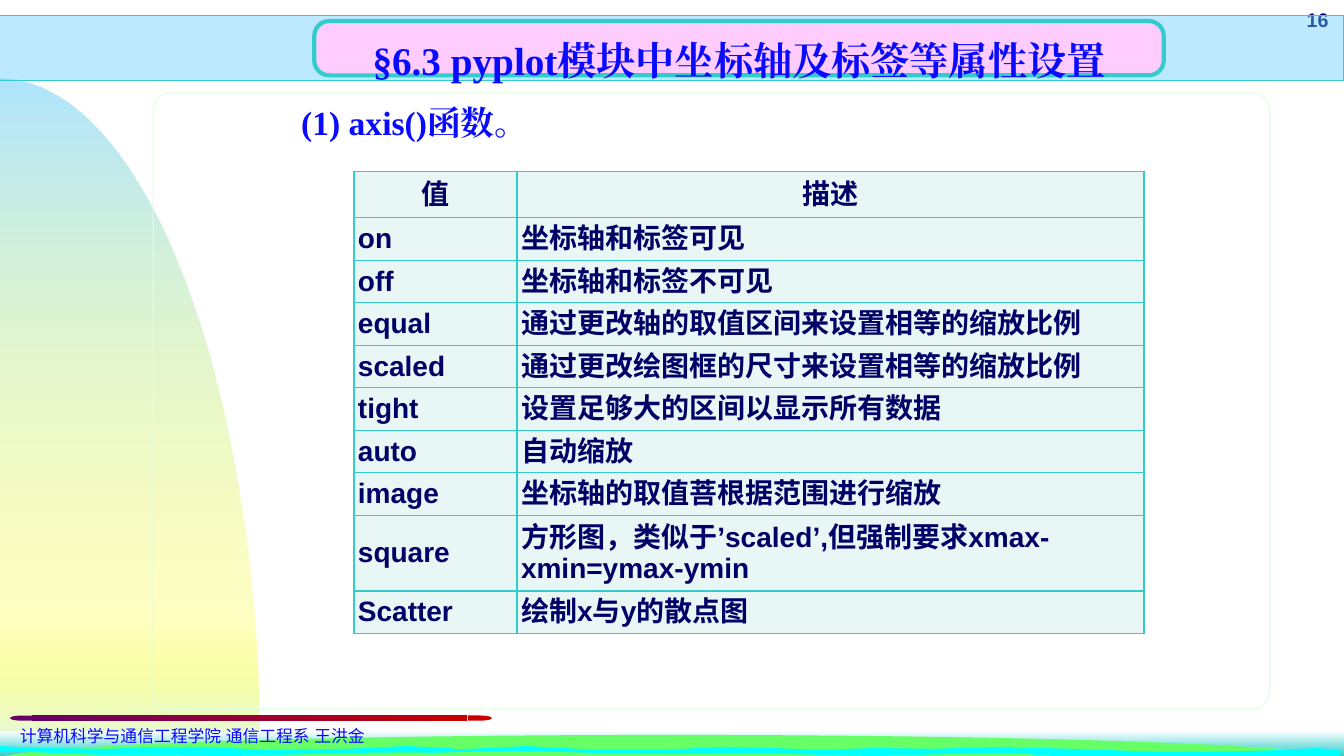
from math import cos, pi, sin

from lxml import etree
from pptx import Presentation
from pptx.dml.color import RGBColor
from pptx.enum import shapes, text
from pptx.oxml import ns
from pptx.util import Cm, Pt

COLORS = {
    "sky": "66CCFF", "sun": "FFFF00", "mist": "DFF9F9", "white": "FFFFFF",
    "teal": "33CCCC", "grass": "66FF66", "wave": "00FFFF", "frame": "E1FFE1",
    "plum": "660066", "red": "C80000", "pink": "FFCCFF", "cell": "E8F6F6",
    "blue": "0A0AFF", "navy": "000066",
}
WIDTH, HEIGHT = 33.87, 19.05
KIND = shapes.MSO_SHAPE
ALIGN = text.PP_ALIGN

deck = Presentation()
deck.slide_width, deck.slide_height = Cm(WIDTH), Cm(HEIGHT)
page = deck.slides.add_slide(deck.slide_layouts[6])


def draw(outline, box=None, stops=(), angle=0, line=None, weight=0.75):
    """Draw a preset in box, or a closed list of points; stops are (position, colour, opacity)."""
    if box:
        shape = page.shapes.add_shape(outline, *map(Cm, box))
    else:
        points = [(Cm(x), Cm(min(y, HEIGHT))) for x, y in outline]
        builder = page.shapes.build_freeform(*points[0])
        builder.add_line_segments(points[1:], close=True)
        shape = builder.convert_to_shape()
    shape.shadow.inherit = False
    if not stops:
        shape.fill.background()
    elif len(stops) == 1:
        shape.fill.solid()
        shape.fill.fore_color.rgb = RGBColor.from_string(COLORS[stops[0][1]])
    else:
        shape.fill.gradient()
        shape.fill.gradient_angle = -angle % 360
        stop_list = shape._element.spPr.find(".//" + ns.qn("a:gsLst"))
        for old in list(stop_list):
            stop_list.remove(old)
        for position, color, _ in stops:
            stop = etree.SubElement(stop_list, ns.qn("a:gs"), pos=str(position * 1000))
            etree.SubElement(stop, ns.qn("a:srgbClr"), val=COLORS[color])
    tints = shape._element.spPr.findall(".//" + ns.qn("a:srgbClr"))
    for tint, (_, _, opacity) in zip(tints, stops):
        if opacity < 100:
            etree.SubElement(tint, ns.qn("a:alpha"), val=str(opacity * 1000))
    if line:
        shape.line.color.rgb = RGBColor.from_string(COLORS[line])
        shape.line.width = Pt(weight)
    else:
        shape.line.fill.background()
    return shape


def write(frame, words, size, color, font="Arial", bold=True, align=ALIGN.LEFT, spacing=None):
    frame.word_wrap = True
    para = frame.paragraphs[0]
    para.alignment = align
    if spacing:
        para.line_spacing = spacing
    span = para.add_run()
    span.text = words
    span.font.size, span.font.bold, span.font.name = Pt(size), bold, font
    span.font.color.rgb = RGBColor.from_string(COLORS[color])
    etree.SubElement(span._r.get_or_add_rPr(), ns.qn("a:ea"), typeface=font)


# Hill on the left: a quarter ellipse
steps = [i / 60 for i in range(61)]
hill = [(0, HEIGHT)] + [(6.53 * sin(t * pi / 2), HEIGHT - 17.07 * cos(t * pi / 2)) for t in steps]
draw(hill, stops=[(0, "sky", 52), (80, "sun", 23), (100, "mist", 100)], angle=90)

# Water and meadow along the bottom
draw(KIND.RECTANGLE, (0, 18.42, WIDTH, 0.63), [(0, "white", 100), (100, "teal", 100)], 90)
meadow = [(16.92 - 16.92 * cos(t * pi), 19.13 - 0.61 * sin(t * pi)) for t in steps]
draw(meadow, stops=[(0, "grass", 100)])

# Waves
right_wave = [
    (24.64, 18.87), (26.31, 18.85), (27.86, 18.9), (29.29, 18.95), (30.56, 18.95),
    (32.33, 18.9), (33.17, 18.85), (33.78, 18.9), (33.76, 19.05), (26.57, 19.05),
    (25.37, 18.97), (23.8, 19),
]
middle_wave = [
    (25.58, 18.82), (25.48, 18.92), (23.98, 19), (21.95, 19.05), (20.55, 19.02),
    (19.02, 18.97), (17.09, 19), (14.86, 18.97), (13, 18.92), (10.87, 18.97),
    (10.11, 18.95), (10.52, 18.9), (11.89, 18.87), (13.26, 18.8), (15.09, 18.9),
    (16.61, 18.9), (18.29, 18.82), (19.41, 18.85), (20.68, 18.9), (22.02, 18.85),
    (23.52, 18.87), (25.32, 18.82),
]
left_wave = [
    (11.02, 18.95), (9.19, 18.97), (5.84, 19.05), (2.49, 19.02), (0, 18.92), (0, 18.8),
    (1.14, 18.85), (2.69, 18.87), (3.89, 18.82), (5.18, 18.82), (6.76, 18.9),
    (8.74, 18.87), (10.24, 18.8), (11.3, 18.85), (11.86, 18.92),
]
for wave in (right_wave, middle_wave, left_wave):
    draw(wave, stops=[(0, "wave", 100)])

# Page number
number = page.shapes.add_textbox(Cm(31.6), Cm(0.08), Cm(2.13), Cm(0.84))
write(number.text_frame, "16", 14, "navy", align=ALIGN.RIGHT)

# Content frame
panel = draw(KIND.ROUNDED_RECTANGLE, (3.86, 2.34, 28.14, 15.52), line="frame")
panel.adjustments[0] = 0.028

# Footer bar with round ends
draw(KIND.RECTANGLE, (0.81, 18.03, 10.97, 0.13), [(0, "plum", 100), (100, "red", 100)])
for left, color, turn in ((0.25, "plum", 180), (11.79, "red", 0)):
    end = draw(KIND.FLOWCHART_DELAY, (left, 18.03, 0.61, 0.13), [(0, color, 100)])
    end.rotation = turn
footer = page.shapes.add_textbox(Cm(0.25), Cm(18.16), Cm(12.65), Cm(0.76))
write(footer.text_frame, "计算机科学与通信工程学院 通信工程系 王洪金", 12, "blue", bold=False)

# Header band and title
draw(KIND.RECTANGLE, (0, 0.38, WIDTH, 1.65), [(0, "sky", 43)], line="teal")
title = draw(KIND.ROUNDED_RECTANGLE, (7.92, 0.53, 21.41, 1.37), [(0, "pink", 100)],
             line="teal", weight=3)
title.adjustments[0] = 0.277
title.text_frame.vertical_anchor = text.MSO_ANCHOR.MIDDLE
write(title.text_frame, "§6.3 pyplot模块中坐标轴及标签等属性设置", 28, "blue",
      font="Times New Roman", align=ALIGN.CENTER, spacing=1.5)

# Subheading
subheading = page.shapes.add_textbox(Cm(7.34), Cm(2.18), Cm(23.11), Cm(1.55))
write(subheading.text_frame, "(1) axis()函数。", 24, "blue", font="Times New Roman", spacing=1.25)

# Table of axis() values
rows = [
    ("值", "描述"),
    ("on", "坐标轴和标签可见"),
    ("off", "坐标轴和标签不可见"),
    ("equal", "通过更改轴的取值区间来设置相等的缩放比例"),
    ("scaled", "通过更改绘图框的尺寸来设置相等的缩放比例"),
    ("tight", "设置足够大的区间以显示所有数据"),
    ("auto", "自动缩放"),
    ("image", "坐标轴的取值菩根据范围进行缩放"),
    ("square", "方形图，类似于’scaled’,但强制要求xmax-xmin=ymax-ymin"),
    ("Scatter", "绘制x与y的散点图"),
]
heights = {"值": 1.17, "square": 1.91}
table = page.shapes.add_table(len(rows), 2, Cm(8.92), Cm(4.32), Cm(19.91), Cm(11.6)).table
for column, width in zip(table.columns, (4.11, 15.8)):
    column.width = Cm(width)
for r, row in enumerate(rows):
    table.rows[r].height = Cm(heights.get(row[0], 1.07))
    for c, words in enumerate(row):
        cell = table.cell(r, c)
        cell.vertical_anchor = text.MSO_ANCHOR.MIDDLE
        cell.margin_left = cell.margin_right = Cm(0.1)
        cell.margin_top = cell.margin_bottom = Cm(0.1 if r else 0.15)
        write(cell.text_frame, words, 20, "navy", align=ALIGN.LEFT if r else ALIGN.CENTER)
        props = cell._tc.get_or_add_tcPr()
        for side in ("a:lnL", "a:lnR", "a:lnT", "a:lnB"):
            border = etree.SubElement(props, ns.qn(side), w=str(Pt(1)))
            paint = etree.SubElement(border, ns.qn("a:solidFill"))
            etree.SubElement(paint, ns.qn("a:srgbClr"), val=COLORS["teal"])
        cell.fill.solid()
        cell.fill.fore_color.rgb = RGBColor.from_string(COLORS["cell"])

deck.save("out.pptx")
